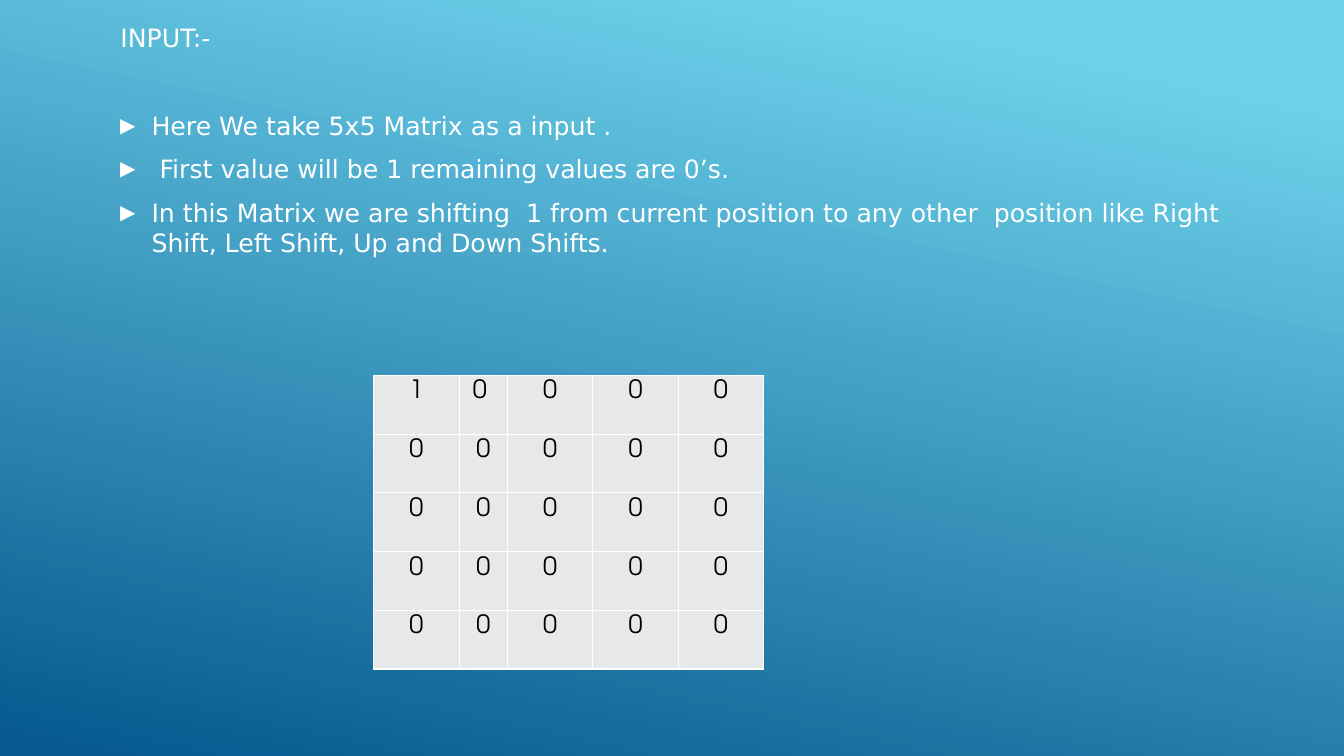
"""Build the slide that introduces the 5x5 input matrix."""
from typing import NamedTuple

from lxml import etree
from pptx import Presentation
from pptx import util as u
from pptx.dml.color import RGBColor
from pptx.enum import text
from pptx.oxml import ns

WHITE = RGBColor(0xFF, 0xFF, 0xFF)
BLACK = RGBColor(0x00, 0x00, 0x00)
CELL_GREY = RGBColor(0xE7, 0xE8, 0xEA)
LIGHT_BLUE = RGBColor(0x6E, 0xD2, 0xEB)
DARK_BLUE = RGBColor(0x06, 0x58, 0x8E)
BODY_FONT = "DejaVu Sans"
MATRIX_FONT = "TeX Gyre Adventor"
COLUMN_WIDTHS = (2.15, 1.22, 2.15, 2.15, 2.15)
ROW_HEIGHT = 1.48
MATRIX = [
    ["1", "0 ", "0", "0", "0"],
    *[["0"] * 5 for _ in range(4)],
]
POINTS = (
    "Here We take 5x5 Matrix as a input .",
    " First value will be 1 remaining values are 0’s.",
    "In this Matrix we are shifting  1 from current position to any other  position like Right Shift, "
    "Left Shift, Up and Down Shifts.",
)


class Box(NamedTuple):
    """Position and size in centimetres."""

    left: float
    top: float
    width: float
    height: float

    def lengths(self) -> list[u.Length]:
        """Return the four values as lengths."""
        return [u.Cm(value) for value in self]


TITLE_BOX = Box(2.78, 0.44, 28.93, 1.2)
POINTS_BOX = Box(2.78, 2.65, 28.93, 4.2)
MATRIX_BOX = Box(9.42, 9.46, sum(COLUMN_WIDTHS), ROW_HEIGHT * len(MATRIX))


def write(paragraph, wording: str, *, font: str = BODY_FONT, color: RGBColor = WHITE,
          align=text.PP_ALIGN.LEFT, before: float = 3.6, after: float = 6) -> None:
    """Write one formatted run into a paragraph."""
    paragraph.alignment = align
    paragraph.space_before = u.Pt(before)
    paragraph.space_after = u.Pt(after)
    run = paragraph.add_run()
    run.text = wording
    run.font.name = font
    run.font.size = u.Pt(18)
    run.font.color.rgb = color


def add_bullet(paragraph) -> None:
    """Give a paragraph a small white triangle and a hanging indent."""
    properties = paragraph._p.get_or_add_pPr()
    indent = u.Cm(0.79)
    properties.set("marL", str(indent))
    properties.set("indent", str(-indent))
    color = etree.SubElement(properties, ns.qn("a:buClr"))
    etree.SubElement(color, ns.qn("a:srgbClr"), val=str(WHITE))
    etree.SubElement(properties, ns.qn("a:buSzPct"), val="80000")
    etree.SubElement(properties, ns.qn("a:buFont"), typeface=BODY_FONT)
    etree.SubElement(properties, ns.qn("a:buChar"), char="▶")


def add_borders(cell) -> None:
    """Draw a thin white line on each side of a cell."""
    properties = cell._tc.get_or_add_tcPr()
    for position, side in enumerate(("lnL", "lnR", "lnT", "lnB")):
        line = etree.Element(ns.qn(f"a:{side}"), w=str(u.Pt(1)))
        fill = etree.SubElement(line, ns.qn("a:solidFill"))
        etree.SubElement(fill, ns.qn("a:srgbClr"), val=str(WHITE))
        properties.insert(position, line)


def paint_background(slide) -> None:
    """Fill the background with a slanted blue gradient."""
    fill = slide.background.fill
    fill.gradient()
    fill.gradient_angle = 360 - 102
    for stop, position, color in zip(fill.gradient_stops, (0.1, 1), (LIGHT_BLUE, DARK_BLUE)):
        stop.position = position
        stop.color.rgb = color


def add_title(slide) -> None:
    """Place and write the slide title."""
    title = slide.shapes.title
    title.left, title.top, title.width, title.height = TITLE_BOX.lengths()
    frame = title.text_frame
    frame.vertical_anchor = text.MSO_ANCHOR.TOP
    frame.auto_size = text.MSO_AUTO_SIZE.NONE
    write(frame.paragraphs[0], "INPUT:-")


def add_points(slide) -> None:
    """Add the bulleted explanation."""
    frame = slide.shapes.add_textbox(*POINTS_BOX.lengths()).text_frame
    frame.word_wrap = True
    for number, point in enumerate(POINTS):
        paragraph = frame.add_paragraph() if number else frame.paragraphs[0]
        write(paragraph, point)
        add_bullet(paragraph)


def add_matrix(slide) -> None:
    """Add the input matrix as a table."""
    table = slide.shapes.add_table(len(MATRIX), len(COLUMN_WIDTHS), *MATRIX_BOX.lengths()).table
    table.first_row = table.horz_banding = False
    for column, width in zip(table.columns, COLUMN_WIDTHS):
        column.width = u.Cm(width)
    for row, values in zip(table.rows, MATRIX):
        row.height = u.Cm(ROW_HEIGHT)
        for cell, value in zip(row.cells, values):
            cell.margin_top = u.Cm(0.12)
            cell.margin_bottom = 0
            cell.margin_left = cell.margin_right = u.Cm(0.18)
            cell.fill.solid()
            cell.fill.fore_color.rgb = CELL_GREY
            add_borders(cell)
            write(cell.text_frame.paragraphs[0], value, font=MATRIX_FONT, color=BLACK,
                  align=text.PP_ALIGN.CENTER, before=0, after=0)


def main() -> None:
    """Build and save the presentation."""
    presentation = Presentation()
    presentation.slide_width = u.Cm(33.87)
    presentation.slide_height = u.Cm(19.05)
    slide = presentation.slides.add_slide(presentation.slide_layouts[5])
    paint_background(slide)
    add_title(slide)
    add_points(slide)
    add_matrix(slide)
    presentation.save("out.pptx")


if __name__ == "__main__":
    main()
